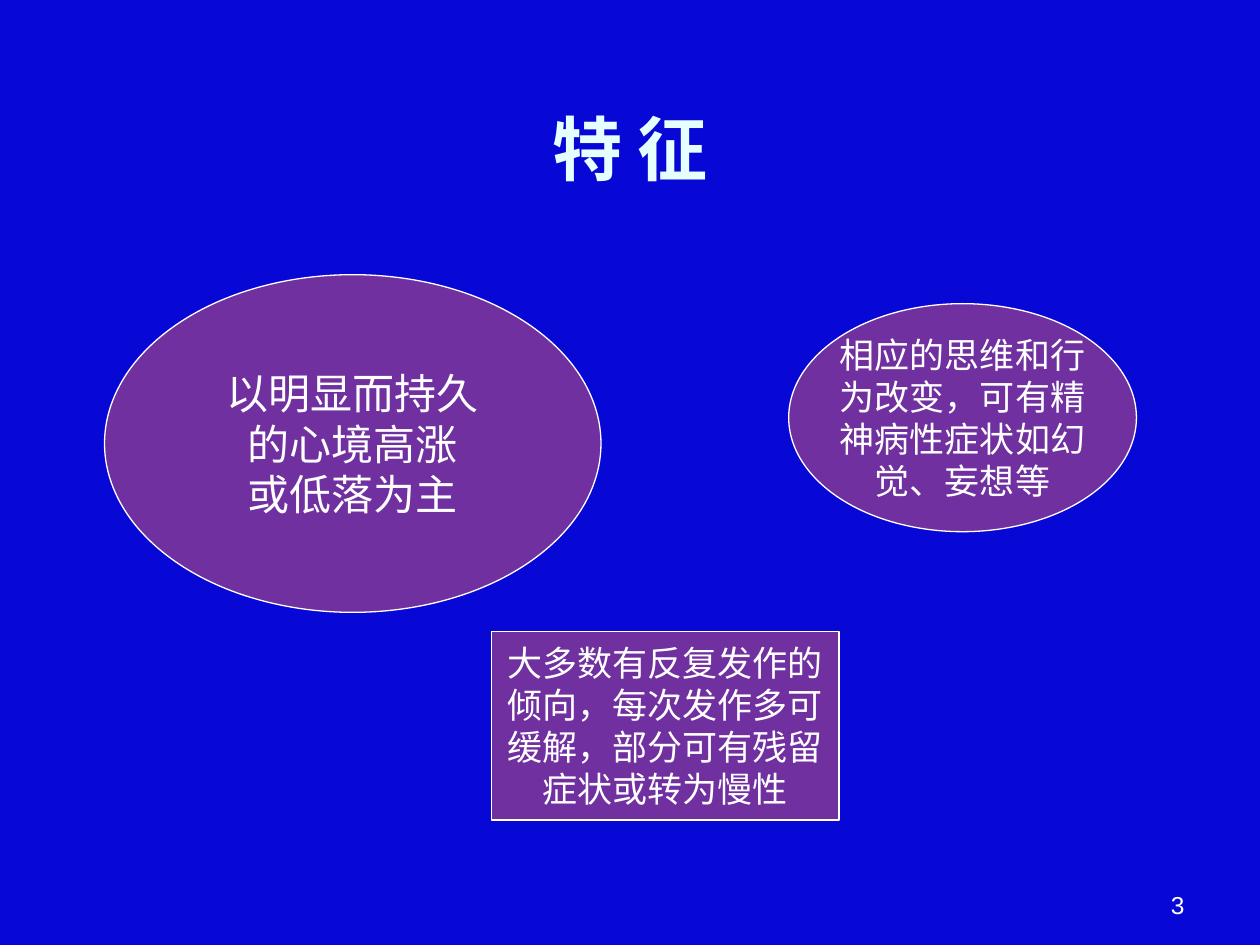
from lxml.etree import SubElement
from pptx import Presentation
from pptx.dml.color import RGBColor
from pptx.enum.shapes import MSO_SHAPE
from pptx.enum.text import MSO_ANCHOR, PP_ALIGN
from pptx.oxml.ns import qn
from pptx.util import Inches, Pt

COLORS = {"ground": "0808D6", "title": "E5FFFF", "panel": "7030A0", "light": "FFFFFF"}
FONTS = {"title": "Noto Sans CJK SC", "panel": "Lato", "number": "Arial"}

# Kind, box (left, top, width, height in inches), text size, lines
PANELS = [
    (MSO_SHAPE.OVAL, (0.83, 2.18, 3.94, 2.68), 24,
     ["以明显而持久", "的心境高涨", "或低落为主"]),
    (MSO_SHAPE.OVAL, (6.26, 2.41, 2.76, 1.81), 20,
     ["相应的思维和行", "为改变，可有精", "神病性症状如幻", "觉、妄想等"]),
    (MSO_SHAPE.RECTANGLE, (3.9, 5.01, 2.76, 1.5), 20,
     ["大多数有反复发作的", "倾向，每次发作多可", "缓解，部分可有残留", "症状或转为慢性"]),
]


def color(name):
    return RGBColor.from_string(COLORS[name])


def inches(box):
    return [Inches(length) for length in box]


def write_lines(frame, lines, size, font, ink, align=PP_ALIGN.CENTER, bold=False):
    """Write one paragraph per line, with the same face for Latin and Chinese."""
    for index, line in enumerate(lines):
        para = frame.paragraphs[0] if index == 0 else frame.add_paragraph()
        para.alignment = align
        span = para.add_run()
        span.text = line
        span.font.size = Pt(size)
        span.font.bold = bold
        span.font.name = FONTS[font]
        span.font.color.rgb = color(ink)
        SubElement(span.font._element, qn("a:ea"), typeface=FONTS[font])


def place_title(page, box, text):
    title = page.shapes.title
    title.left, title.top, title.width, title.height = inches(box)
    title.text_frame.vertical_anchor = MSO_ANCHOR.MIDDLE
    write_lines(title.text_frame, [text], 40, "title", "title", bold=True)


def add_panel(page, kind, box, size, lines):
    panel = page.shapes.add_shape(kind, *inches(box))
    panel.shadow.inherit = False
    panel.fill.solid()
    panel.fill.fore_color.rgb = color("panel")
    panel.line.color.rgb = color("light")
    panel.line.width = Pt(0.75)
    panel.text_frame.word_wrap = False
    panel.text_frame.vertical_anchor = MSO_ANCHOR.MIDDLE
    write_lines(panel.text_frame, lines, size, "panel", "light")


def add_page_number(page, box, number):
    frame = page.shapes.add_textbox(*inches(box)).text_frame
    frame.word_wrap = True
    frame.vertical_anchor = MSO_ANCHOR.BOTTOM
    write_lines(frame, [number], 14, "number", "light", PP_ALIGN.RIGHT)


def main():
    deck = Presentation()
    deck.slide_width, deck.slide_height = Inches(10), Inches(7.5)
    page = deck.slides.add_slide(deck.slide_layouts[5])  # Title Only

    # Background
    page.background.fill.solid()
    page.background.fill.fore_color.rgb = color("ground")

    # Page number, title and the three features
    add_page_number(page, (7.17, 6.83, 2.33, 0.52), "3")
    place_title(page, (0.5, 0.42, 9, 1.5), "特 征")
    for panel in PANELS:
        add_panel(page, *panel)

    deck.save("out.pptx")


if __name__ == "__main__":
    main()
